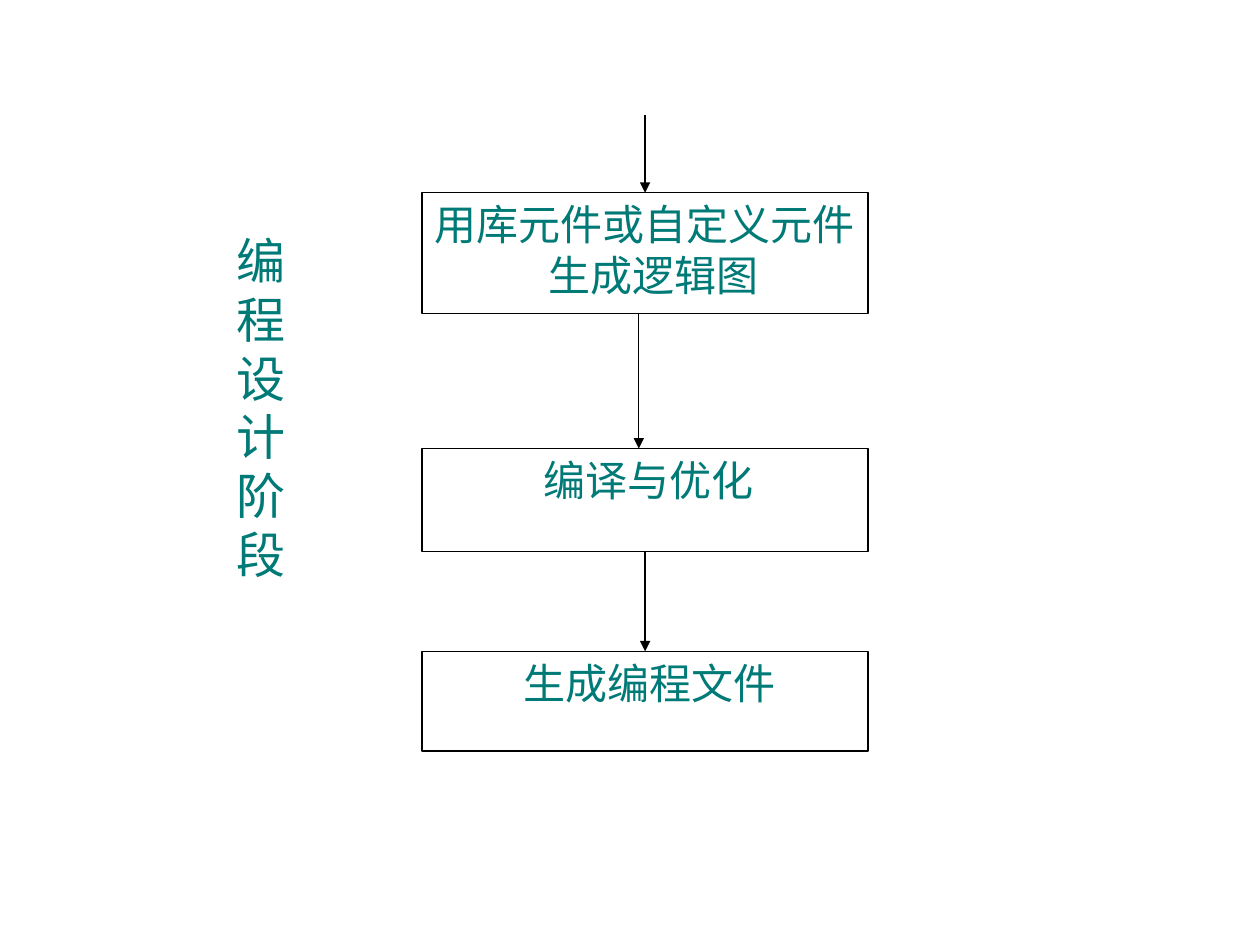
from pptx import Presentation
from pptx.dml.color import RGBColor
from pptx.enum import shapes, text
from pptx.oxml.ns import qn
from pptx.util import Emu, Inches, Pt
from lxml import etree

COLORS = {"text": "007A77", "fill": "FFFFFF", "line": "000000"}
SLIDE_WIDTH, SLIDE_HEIGHT = Inches(10), Inches(7.5)
COLUMNS, ROWS = 100, 75
BOX_LEFT, BOX_WIDTH = 33.5, 35.4
BOX_CENTER = BOX_LEFT + BOX_WIDTH / 2
CENTER, JUSTIFY = text.PP_ALIGN.CENTER, text.PP_ALIGN.JUSTIFY
STEPS = [
    (15.3, 9.6, [("用库元件或自定义元件", JUSTIFY, 0), ("生成逻辑图", CENTER, 1.4)]),
    (35.6, 8.2, [("编译与优化", CENTER, 0.5)]),
    (51.7, 7.9, [("生成编程文件", CENTER, 0.7)]),
]


def column(count):
    """Return the length of a number of grid columns."""
    return Emu(round(SLIDE_WIDTH * count / COLUMNS))


def row(count):
    """Return the length of a number of grid rows."""
    return Emu(round(SLIDE_HEIGHT * count / ROWS))


def color(name):
    """Return a named colour."""
    return RGBColor.from_string(COLORS[name])


def add_box(slide, left, top, width, height, lines, size, outlined=True):
    """Add a rectangle with (words, alignment, indent) lines from its top."""
    shape = slide.shapes.add_shape(
        shapes.MSO_SHAPE.RECTANGLE, column(left), row(top), column(width), row(height)
    )
    shape.shadow.inherit = False
    shape.fill.solid()
    shape.fill.fore_color.rgb = color("fill")
    if outlined:
        shape.line.color.rgb = color("line")
        shape.line.width = Pt(0.75)
    else:
        shape.line.fill.background()
    frame = shape.text_frame
    frame.word_wrap = True
    frame.vertical_anchor = text.MSO_ANCHOR.TOP
    frame.text = "\n".join(words for words, _, _ in lines)
    for paragraph, (_, alignment, indent) in zip(frame.paragraphs, lines):
        paragraph.alignment = alignment
        paragraph._p.get_or_add_pPr().set("marL", str(column(indent)))
        paragraph.font.size = Pt(size)
        paragraph.font.name = "Calibri"
        paragraph.font.color.rgb = color("text")
    return shape


def add_arrow(slide, center, top, bottom, source=None, target=None):
    """Add a downward arrow, joined to the boxes that are given."""
    arrow = slide.shapes.add_connector(
        shapes.MSO_CONNECTOR.STRAIGHT, column(center), row(top), column(center), row(bottom)
    )
    if source is not None:
        arrow.begin_connect(source, 2)
    if target is not None:
        arrow.end_connect(target, 0)
    arrow.line.color.rgb = color("line")
    arrow.line.width = Pt(0.75)
    etree.SubElement(arrow.line._get_or_add_ln(), qn("a:tailEnd"), type="triangle")
    etree.SubElement(arrow._element.spPr, qn("a:effectLst"))


def main():
    """Build the flow chart of the programming design stage."""
    presentation = Presentation()
    presentation.slide_width, presentation.slide_height = SLIDE_WIDTH, SLIDE_HEIGHT
    slide = presentation.slides.add_slide(presentation.slide_layouts[6])
    stage = [("编程设计阶段", text.PP_ALIGN.LEFT, 0)]
    add_box(slide, 17.8, 17.8, 4.9, 30.7, stage, 28, outlined=False)
    first, second, third = [
        add_box(slide, BOX_LEFT, top, BOX_WIDTH, height, lines, 24)
        for top, height, lines in STEPS
    ]
    tops = [top for top, _, _ in STEPS]
    bottoms = [top + height for top, height, _ in STEPS]
    add_arrow(slide, BOX_CENTER, 9.1, tops[0], target=first)
    add_arrow(slide, BOX_CENTER - 0.5, bottoms[0], tops[1])
    add_arrow(slide, BOX_CENTER, bottoms[1], tops[2], second, third)
    presentation.save("out.pptx")


if __name__ == "__main__":
    main()
